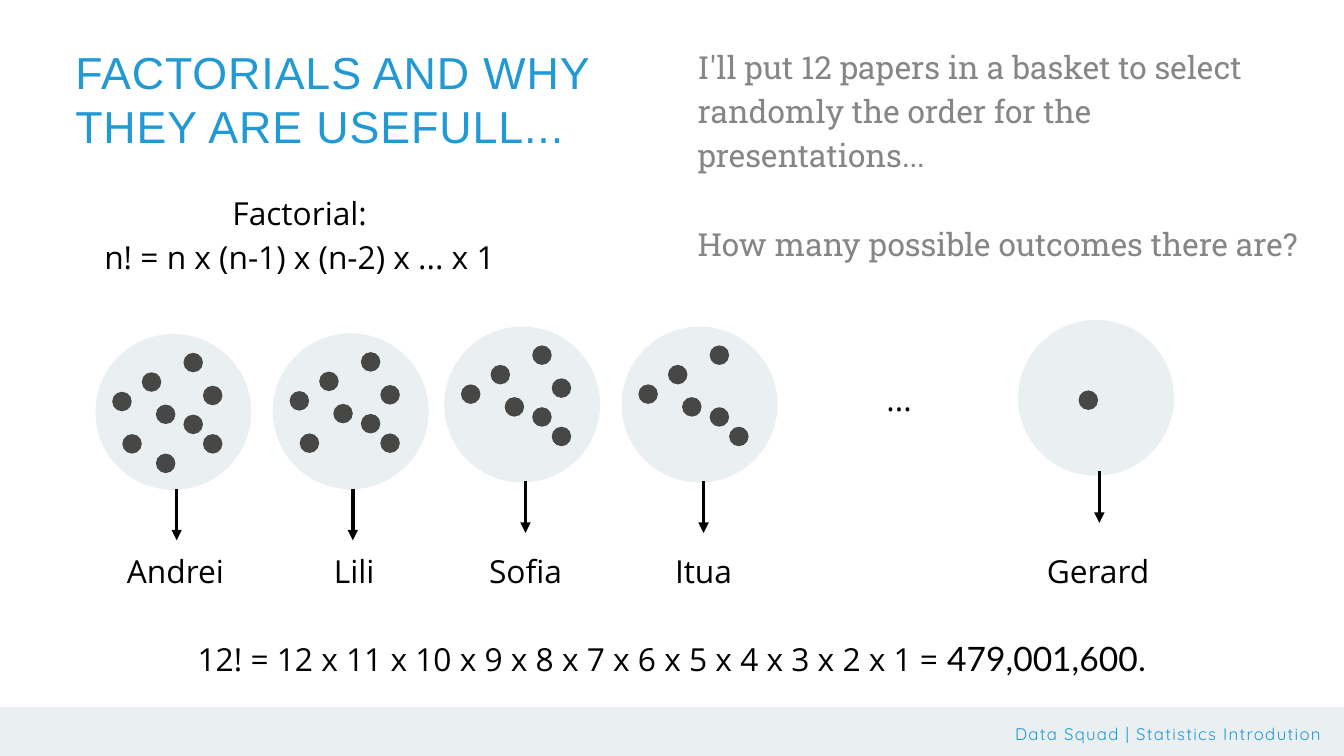
from lxml import etree
from pptx import Presentation
from pptx.dml.color import RGBColor
from pptx.enum.shapes import MSO_CONNECTOR as CONNECTOR, MSO_SHAPE as SHAPE
from pptx.enum.text import MSO_ANCHOR as ANCHOR, MSO_AUTO_SIZE as AUTO_SIZE, PP_ALIGN as ALIGN
from pptx.oxml.ns import qn
from pptx.util import Inches, Pt

BLUE = RGBColor(0x21, 0x99, 0xD4)
PALE = RGBColor(0xEA, 0xF0, 0xF1)
DARK = RGBColor(0x47, 0x47, 0x45)
GREY = RGBColor(0x87, 0x86, 0x86)
BLACK = RGBColor(0, 0, 0)

BASKET = 2.32
PAPER = 0.29
ARROW = 0.77
LABEL = (3.24, 0.63)

# Paper positions inside a basket; a basket with n papers shows the first n
PAPERS = [(0.9, 1.05), (0.25, 0.86), (0.69, 0.57), (1.6, 1.49), (1.31, 1.2),
          (1.31, 0.28), (1.6, 0.77), (0.4, 1.49), (0.9, 1.78)]

# Name, papers left, basket left and top, arrow x and top, label left
DRAWS = [("Andrei", 9, 1.42, 4.97, 2.63, 7.27, 0.99),
         ("Lili", 8, 4.06, 4.96, 5.25, 7.27, 3.65),
         ("Sofia", 7, 6.61, 4.86, 7.82, 7.16, 6.2),
         ("Itua", 6, 9.25, 4.86, 10.47, 7.16, 8.85),
         ("Gerard", 1, 15.15, 4.76, 16.36, 7.01, 14.72)]


def place(shape, left, top, width, height):
    shape.left, shape.top = Inches(left), Inches(top)
    shape.width, shape.height = Inches(width), Inches(height)


def write(shape, lines, font, size, color, align=ALIGN.LEFT, leading=None, tracking=0):
    frame = shape.text_frame
    frame.word_wrap = True
    frame.auto_size = AUTO_SIZE.NONE
    frame.vertical_anchor = ANCHOR.TOP
    frame.margin_left = frame.margin_right = frame.margin_top = frame.margin_bottom = 0
    frame.text = "\n".join(lines)
    for para in frame.paragraphs:
        para.alignment = align
        para.space_before = Pt(0)
        if leading:
            para.line_spacing = Pt(leading)
        para.font.name, para.font.size = font, Pt(size)
        para.font.color.rgb = color
        if tracking:
            for span in para.runs:
                span._r.get_or_add_rPr().set("spc", str(round(tracking * 100)))
    return frame


def add_text(page, box, lines, font="Open Sans", size=34, color=BLACK,
             align=ALIGN.CENTER, leading=47.6, tracking=0):
    shape = page.shapes.add_textbox(*(Inches(length) for length in box))
    return write(shape, lines, font, size, color, align, leading, tracking)


def add_filled(page, kind, box, color):
    shape = page.shapes.add_shape(kind, *(Inches(length) for length in box))
    shape.shadow.inherit = False
    shape.fill.solid()
    shape.fill.fore_color.rgb = color
    shape.line.fill.background()


def add_arrow(page, x, top):
    arrow = page.shapes.add_connector(
        CONNECTOR.STRAIGHT, Inches(x), Inches(top), Inches(x), Inches(top + ARROW))
    arrow.line.color.rgb = BLACK
    arrow.line.width = Pt(3.75)
    etree.SubElement(arrow.line._get_or_add_ln(), qn("a:tailEnd"), type="triangle")
    etree.SubElement(arrow._element.spPr, qn("a:effectLst"))


def add_heading(page, box):
    place(page.shapes.title, *box)
    write(page.shapes.title, ["FACTORIALS AND WHY THEY ARE USEFULL..."],
          "Arial", 48, BLUE, leading=57.6, tracking=1)


def add_question(page, box):
    body = page.placeholders[1]
    place(body, *box)
    frame = write(body, ["I'll put 12 papers in a basket to select randomly the order "
                         "for the presentations...",
                         "How many possible outcomes there are?"],
                  "Roboto Slab", 34, GREY, leading=47.6)
    for para in frame.paragraphs:
        props = para._p.get_or_add_pPr()
        props.set("marL", "0")
        props.set("indent", "0")
        bullet = etree.Element(qn("a:buNone"))
        props.find(qn("a:spcBef")).addnext(bullet)
    frame.paragraphs[1].space_before = Pt(47.6)


def add_basket(page, left, top, papers):
    add_filled(page, SHAPE.OVAL, (left, top, BASKET, BASKET), PALE)
    for x, y in PAPERS[:papers]:
        add_filled(page, SHAPE.OVAL, (left + x, top + y, PAPER, PAPER), DARK)


def add_result(page, box):
    frame = add_text(page, box, ["12! = 12 x 11 x 10 x 9 x 8 x 7 x 6 x 5 x 4 x 3 x 2 x 1 = "],
                     leading=None)
    for text, font in (("479,001,600", "Lato"), (".", "Calibri")):
        span = frame.paragraphs[0].add_run()
        span.text = text
        span.font.name, span.font.size = font, Pt(36)


def add_footer(page, box):
    left, top, width, height = box
    add_filled(page, SHAPE.RECTANGLE, box, PALE)
    add_text(page, (left + 7.62, top + 0.2, 12.31, 0.32),
             ["Data Squad | Statistics Introdution"], "Quicksand", 18, BLUE,
             ALIGN.RIGHT, 25.2, 1.4)


def main():
    deck = Presentation()
    deck.slide_width, deck.slide_height = Inches(20), Inches(11.25)
    page = deck.slides.add_slide(deck.slide_layouts[1])

    # Footer, heading, question and definition
    add_footer(page, (-0.27, 10.52, 20.56, 0.99))
    add_heading(page, (1.12, 0.67, 8.15, 1.58))
    add_question(page, (10.38, 0.61, 9.24, 2.66))
    add_text(page, (0.61, 2.79, 7.7, 1.29),
             ["Factorial:", "n! = n x (n-1) x (n-2) x ... x 1"])

    # One basket, arrow and name for each draw
    for name, papers, left, top, arrow_x, arrow_top, label_left in DRAWS:
        add_basket(page, left, top, papers)
        add_arrow(page, arrow_x, arrow_top)
        add_text(page, (label_left, 8.12, *LABEL), [name])
    add_text(page, (11.76, 5.56, *LABEL), ["..."])

    # Number of outcomes
    add_result(page, (0, 9.49, 20, 0.61))
    deck.save("out.pptx")


if __name__ == "__main__":
    main()
